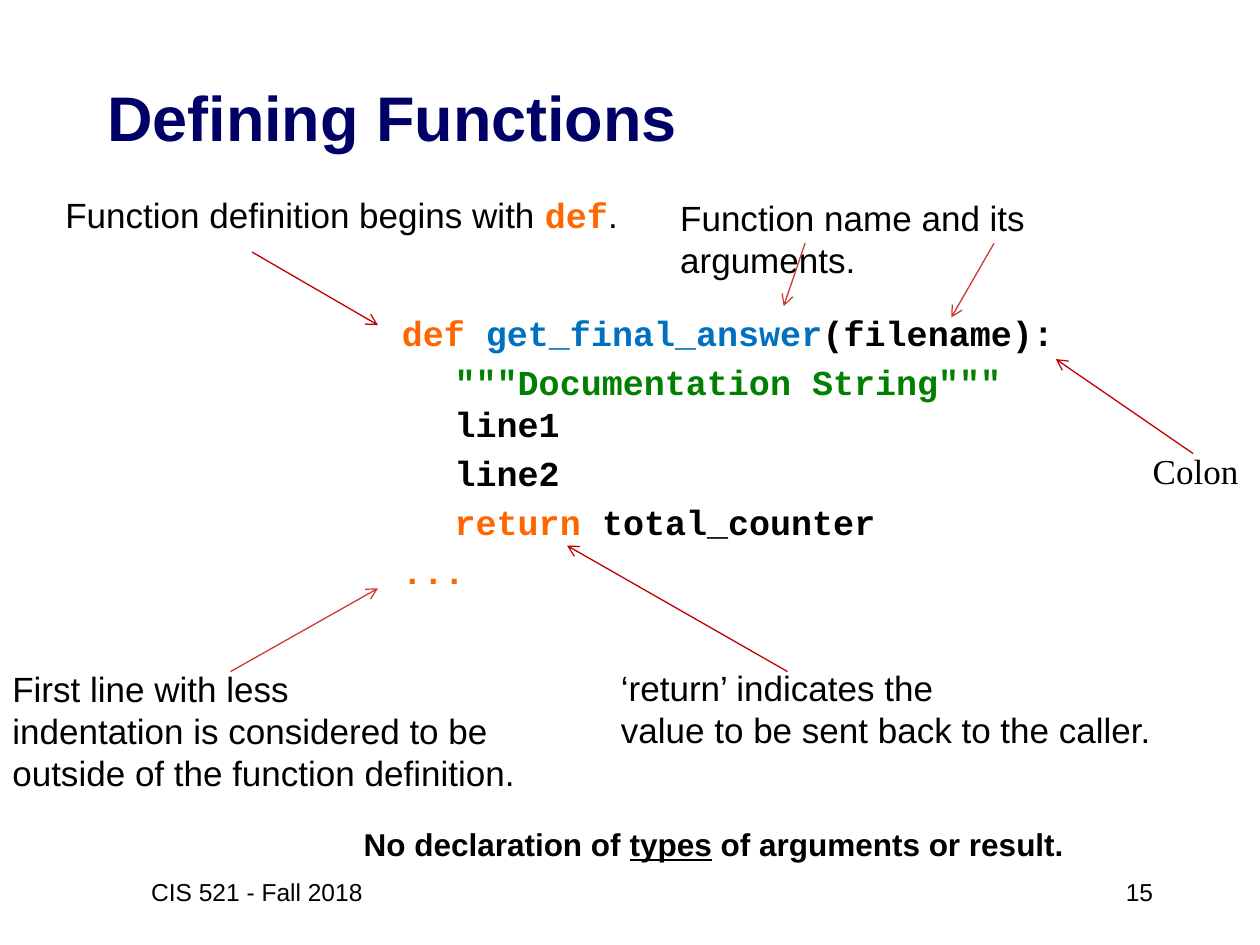
from dataclasses import dataclass

from lxml import etree
from pptx import Presentation
from pptx.dml.color import RGBColor
from pptx.enum import shapes, text
from pptx.oxml import ns
from pptx.util import Emu, Pt

PX = 9144
BLACK, ORANGE, BLUE, GREEN = "000000", "FF6600", "0070C0", "008000"
NAVY, RED, ROSE = "000066", "C00000", "CE3838"
SANS, MONO, SERIF = "Arial", "Courier New", "Times New Roman"
LEFT, MID, RIGHT = text.PP_ALIGN.LEFT, text.PP_ALIGN.CENTER, text.PP_ALIGN.RIGHT
TOP, HALF = text.MSO_ANCHOR.TOP, text.MSO_ANCHOR.MIDDLE


@dataclass
class Run:
    text: str
    color: str = BLACK
    font: str = SANS
    size: int = 20
    bold: bool = False
    under: bool = False


@dataclass
class Para:
    runs: list[Run]
    align: text.PP_ALIGN = LEFT
    indent: int = 0
    before: int = 0


@dataclass
class Box:
    place: tuple[int, int, int, int]
    paras: list[Para]
    anchor: text.MSO_ANCHOR = TOP


@dataclass
class Arrow:
    start: tuple[int, int]
    end: tuple[int, int]
    color: str


def px(n: int) -> Emu:
    return Emu(n * PX)


def rgb(code: str) -> RGBColor:
    return RGBColor.from_string(code)


def code(word: str, color: str = BLACK) -> Run:
    return Run(word, color, MONO, bold=True)


def line(runs: list[Run], indent: int = 142) -> Para:
    return Para(runs, indent=indent, before=4)


def add_run(para, run: Run) -> None:
    for i, part in enumerate(run.text.split("\n")):
        if i:
            para.add_line_break()
        if part:
            item = para.add_run()
            item.text = part
            font = item.font
            font.name, font.size = run.font, Pt(run.size)
            font.bold, font.underline = run.bold, run.under
            font.color.rgb = rgb(run.color)


def fill(shape, box: Box) -> None:
    shape.left, shape.top, shape.width, shape.height = map(px, box.place)
    frame = shape.text_frame
    frame.word_wrap = True
    frame.auto_size = text.MSO_AUTO_SIZE.NONE
    frame.vertical_anchor = box.anchor
    for i, para in enumerate(box.paras):
        target = frame.add_paragraph() if i else frame.paragraphs[0]
        target.alignment = para.align
        target.space_before = Pt(para.before)
        if para.indent:
            target._p.get_or_add_pPr().set("marL", str(px(para.indent)))
        for run in para.runs:
            add_run(target, run)


def draw(slide, arrow: Arrow) -> None:
    ends = map(px, arrow.start + arrow.end)
    shape = slide.shapes.add_connector(shapes.MSO_CONNECTOR.STRAIGHT, *ends)
    shape.line.color.rgb = rgb(arrow.color)
    shape.line.width = Pt(0.75)
    tail = etree.SubElement(shape.line._get_or_add_ln(), ns.qn("a:tailEnd"))
    tail.set("type", "arrow")
    etree.SubElement(shape._element.spPr, ns.qn("a:effectLst"))


TITLE = Box((75, 67, 850, 50),
            [Para([Run("Defining Functions", NAVY, size=36, bold=True)])], HALF)

BOXES = [
    Box((0, 525, 423, 111), [Para([Run(
        "First line with less \nindentation is considered to be\n"
        "outside of the function definition.")])]),
    Box((225, 650, 683, 42), [Para([
        Run("No declaration of ", size=18, bold=True),
        Run("types", size=18, bold=True, under=True),
        Run(" of arguments or result.", size=18, bold=True)], MID)]),
    Box((209, 242, 708, 150), [
        line([code("def ", ORANGE), code("get_final_answer", BLUE),
              code("(filename):")], 100),
        line([code('"""Documentation String"""\n', GREEN), code("line1")]),
        line([code("line2")]),
        line([code("return ", ORANGE), code("total_counter")]),
        line([code("...", ORANGE)], 100)]),
    Box((42, 149, 471, 44), [Para([
        Run("Function definition begins with "), code("def", ORANGE), Run(".")])]),
    Box((530, 151, 430, 43), [Para([Run("Function name and its arguments.")])]),
    Box((483, 524, 446, 77), [Para([Run(
        "‘return’ indicates the \nvalue to be sent back to the caller.")])]),
    Box((805, 352, 190, 44), [Para([Run("Colon", font=SERIF)], indent=100)]),
    Box((717, 683, 208, 50), [Para([Run("15", size=14)], RIGHT)], HALF),
    Box((75, 683, 258, 50), [Para([Run("CIS 521 - Fall 2018", size=14)], MID)], HALF),
]

ARROWS = [
    Arrow((183, 533), (300, 467), ROSE),
    Arrow((200, 200), (300, 258), RED),
    Arrow((639, 193), (622, 243), ROSE),
    Arrow((789, 193), (755, 252), ROSE),
    Arrow((625, 533), (450, 433), RED),
    Arrow((947, 360), (838, 285), RED),
]


def main() -> None:
    deck = Presentation()
    deck.slide_width, deck.slide_height = px(1000), px(750)
    slide = deck.slides.add_slide(deck.slide_layouts[5])
    fill(slide.shapes.title, TITLE)
    for box in BOXES:
        fill(slide.shapes.add_textbox(*map(px, box.place)), box)
    for arrow in ARROWS:
        draw(slide, arrow)
    deck.save("out.pptx")


if __name__ == "__main__":
    main()
